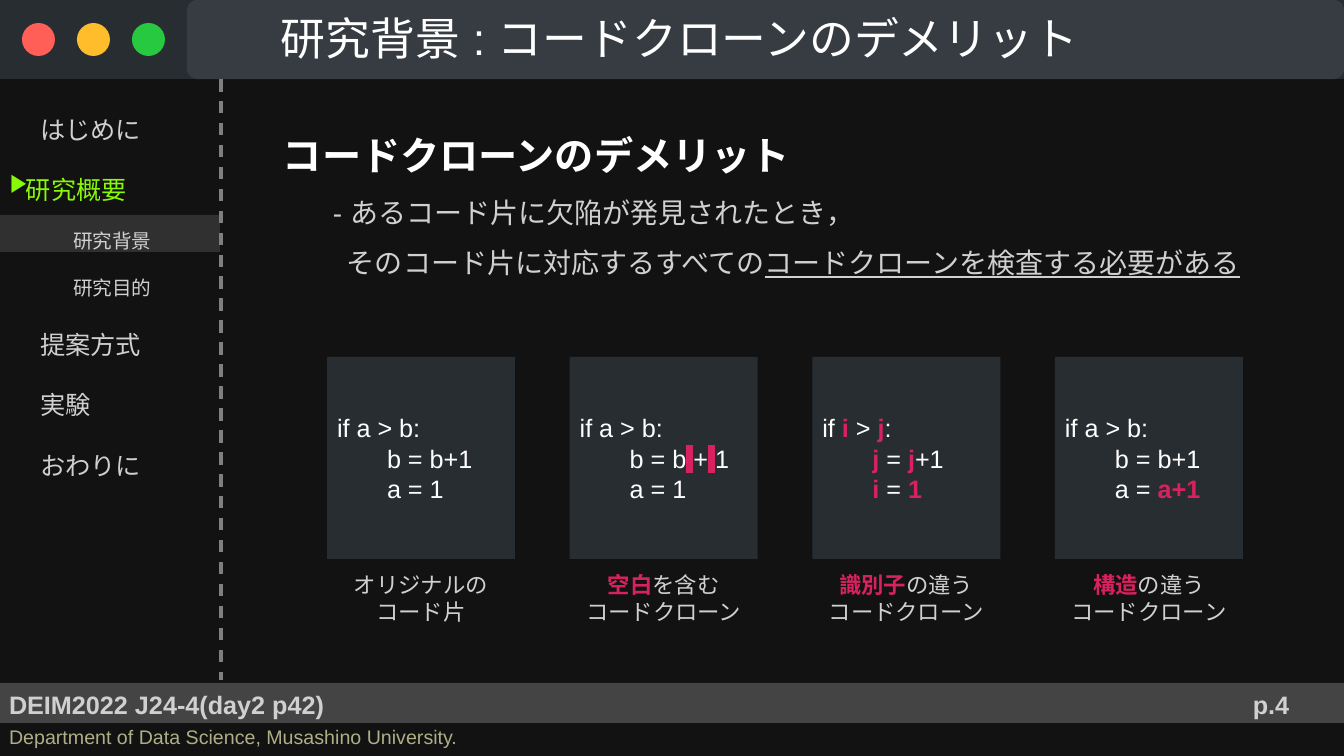
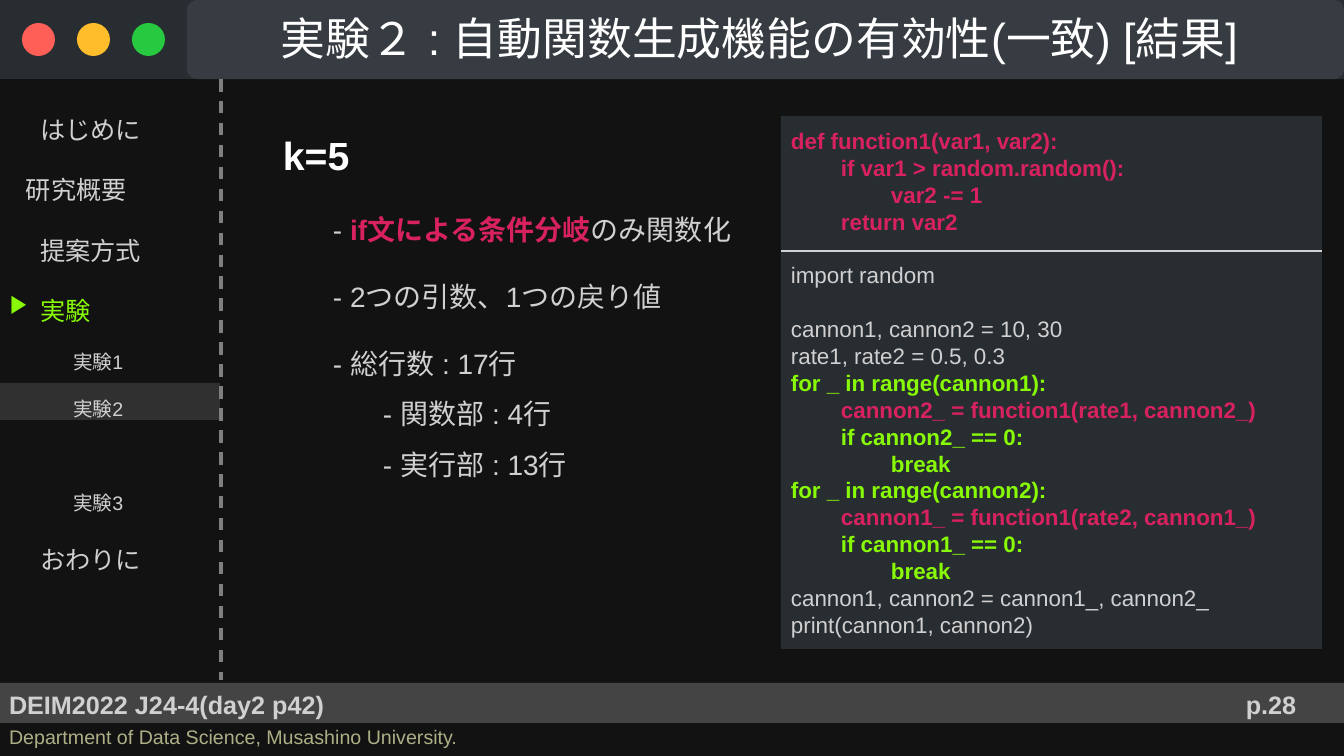
from dataclasses import dataclass

from lxml import etree
from pptx import Presentation
from pptx.dml.color import RGBColor
from pptx.enum.dml import MSO_LINE
from pptx.enum.shapes import MSO_CONNECTOR, MSO_SHAPE
from pptx.enum.text import MSO_ANCHOR, PP_ALIGN
from pptx.oxml.ns import qn
from pptx.util import Pt

RECT, ROUND, OVAL = MSO_SHAPE.RECTANGLE, MSO_SHAPE.ROUNDED_RECTANGLE, MSO_SHAPE.OVAL
STRAIGHT, DASH = MSO_CONNECTOR.STRAIGHT, MSO_LINE.DASH
TOP, MIDDLE = MSO_ANCHOR.TOP, MSO_ANCHOR.MIDDLE
LEFT, CENTER = PP_ALIGN.LEFT, PP_ALIGN.CENTER

BLACK = RGBColor(0x12, 0x12, 0x12)
PANEL = RGBColor(0x28, 0x2D, 0x31)
TAB = RGBColor(0x36, 0x3C, 0x41)
BAND = RGBColor(0x44, 0x44, 0x44)
ACTIVE = RGBColor(0x30, 0x30, 0x30)
DIVIDER = RGBColor(0x80, 0x7F, 0x80)
WHITE = RGBColor(0xFF, 0xFF, 0xFF)
GREY = RGBColor(0xD0, 0xD0, 0xD0)
KHAKI = RGBColor(0xAF, 0xAF, 0x87)
GREEN = RGBColor(0x88, 0xF9, 0x06)
PINK = RGBColor(0xD7, 0x22, 0x5F)
BUTTONS = (RGBColor(0xFF, 0x5F, 0x57), RGBColor(0xFF, 0xBD, 0x2B), RGBColor(0x26, 0xC9, 0x3F))

FONT = "Arial"
WIDTH, HEIGHT = 1344, 756
SCALE = 12192000 / WIDTH  # EMU in one px
PX_PER_POINT = 1.4
LEADING = 1.2
STEP = 50  # one indent level
SIDE_WIDTH, HEAD_HEIGHT = 221, 79
WIDE_INSET = (12, 12, 12, 10)


@dataclass
class Span:
    text: str
    marked: bool = False


@dataclass
class Line:
    spans: tuple
    size: float = 18
    color: RGBColor = GREY
    bold: bool = False
    spacing: float = 1
    indent: int = 0
    align: PP_ALIGN = LEFT
    before: float = 0
    after: float = 0


def px(length):
    return round(length * SCALE)


def pitch(size, spacing=1):
    """Height of one line, in points."""
    return size * LEADING * spacing


# Text
def write(box, lines, anchor=TOP, inset=(10, 5, 10, 5)):
    frame = box.text_frame
    frame.word_wrap = True
    frame.vertical_anchor = anchor
    frame.margin_left, frame.margin_top, frame.margin_right, frame.margin_bottom = map(px, inset)
    for index, line in enumerate(lines):
        para = frame.add_paragraph() if index else frame.paragraphs[0]
        para.alignment = line.align
        para.line_spacing = Pt(pitch(line.size, line.spacing))
        para.space_before, para.space_after = Pt(line.before), Pt(line.after)
        para.font.name, para.font.size = FONT, Pt(line.size)
        para.font.bold = line.bold
        para.font.color.rgb = line.color
        properties = para._p.get_or_add_pPr()
        properties.set("marL", str(px(line.indent)))
        properties.set("indent", "0")
        east_asian = etree.SubElement(properties.find(qn("a:defRPr")), qn("a:ea"))
        east_asian.set("typeface", FONT)
        for span in line.spans:
            add_span(para, span)


def add_span(para, span):
    run = para.add_run()
    if isinstance(span, str):
        run.text = span
        return
    run.text = span.text
    run.font.color.rgb = PINK
    if span.marked:
        highlight = etree.SubElement(run._r.get_or_add_rPr(), qn("a:highlight"))
        etree.SubElement(highlight, qn("a:srgbClr")).set("val", str(PINK))
    else:
        run.font.bold = True


def add_text(page, x, y, width, height, lines, **layout):
    box = page.shapes.add_textbox(px(x), px(y), px(width), px(height))
    write(box, lines, **layout)


# Shapes
def add_block(page, kind, x, y, width, height, color):
    block = page.shapes.add_shape(kind, px(x), px(y), px(width), px(height))
    block.shadow.inherit = False
    block.fill.solid()
    block.fill.fore_color.rgb = color
    block.line.fill.background()
    return block


def add_rule(page, x1, y1, x2, y2, color, points):
    rule = page.shapes.add_connector(STRAIGHT, px(x1), px(y1), px(x2), px(y2))
    rule.line.color.rgb = color
    rule.line.width = Pt(points)
    return rule


def flatten(rule):
    etree.SubElement(rule._element.spPr, qn("a:effectLst"))


# Regions that every slide has
def add_header(page, title):
    add_block(page, RECT, 0, 0, WIDTH, HEAD_HEIGHT, PANEL)
    for index, color in enumerate(BUTTONS):
        add_block(page, OVAL, 22 + 55 * index, 23, 33, 33, color)
    tab = add_block(page, ROUND, 187, 0, WIDTH - 187, HEAD_HEIGHT, TAB)
    tab.adjustments[0] = 0.13
    line = Line((title,), size=32, color=WHITE, indent=STEP)
    add_text(page, SIDE_WIDTH, 6, WIDTH - SIDE_WIDTH, 64, [line], anchor=MIDDLE)


def add_footer(page, number):
    top = 684
    add_block(page, RECT, 0, top - 1, WIDTH, 40, BAND)
    add_text(page, -1, top, 673, 40, [Line(("DEIM2022 J24-4(day2 p42)",), bold=True)])
    add_text(page, -1, top + 36, 673, 34,
             [Line(("Department of Data Science, Musashino University.",), size=14, color=KHAKI)])
    add_text(page, 1198, top, 146, 40, [Line((f"p.{number}",), bold=True, align=CENTER)],
             anchor=MIDDLE)


def add_sidebar(page, chapter, sections, section, gap_after=None):
    """List the chapters, with the sections below the current one."""
    entries = []
    for name in ("はじめに", "研究概要", "提案方式", "実験", "おわりに"):
        entries.append((name, 18, 16 if name == "研究概要" else 30))
        if name == chapter:
            entries += [(item, 14, 63) for item in sections]

    lines, row_top = [], HEAD_HEIGHT + 5
    for name, size, indent in entries:
        row = pitch(size, 2)
        after = row if name == gap_after else 0
        lines.append(Line((name,), size=size, color=GREEN if name == chapter else GREY,
                          spacing=2, indent=indent, after=after))
        if name == chapter:
            marker_top = row_top + 17
        if name == section:
            add_block(page, RECT, 0, row_top + 10, SIDE_WIDTH - 1, 37, ACTIVE)
        row_top += (row + after) * PX_PER_POINT

    add_text(page, 0, HEAD_HEIGHT, SIDE_WIDTH, 602, lines)
    add_text(page, 0, marker_top, 46, 40, [Line(("▶︎",), color=GREEN)])
    rule = add_rule(page, SIDE_WIDTH, HEAD_HEIGHT, SIDE_WIDTH, 680, DIVIDER, 2.25)
    rule.line.dash_style = DASH
    flatten(rule)


def add_page(deck, title, number, **sidebar):
    page = deck.slides.add_slide(deck.slide_layouts[6])
    page.background.fill.solid()
    page.background.fill.fore_color.rgb = BLACK
    add_header(page, title)
    add_sidebar(page, **sidebar)
    add_footer(page, number)
    return page


def add_body(page, heading, points):
    """Write a heading and points of (indent, spacing, spans)."""
    lines = [Line((heading,), size=28, color=WHITE, bold=True, spacing=1.5, indent=STEP)]
    lines += [Line(spans, size=20, spacing=spacing, indent=indent)
              for indent, spacing, spans in points]
    add_text(page, SIDE_WIDTH, 96, WIDTH - SIDE_WIDTH, 238, lines, inset=WIDE_INSET)


# Code clone slide
def add_code_card(page, x, y, width, code, caption):
    height = 202
    card = add_block(page, RECT, x, y, width, height, PANEL)
    write(card, [Line(spans, color=WHITE, indent=STEP if index else 0)
                 for index, spans in enumerate(code)], anchor=MIDDLE)
    add_text(page, x, y + height, width, 65,
             [Line(spans, size=16, align=CENTER) for spans in caption], inset=WIDE_INSET)


def build_clone_page(deck):
    page = add_page(deck, "研究背景 : コードクローンのデメリット", 4, chapter="研究概要",
                    sections=("研究背景", "研究目的"), section="研究背景")
    add_body(page, "コードクローンのデメリット", [
        (2 * STEP, 1.5, ("- あるコード片に欠陥が発見されたとき，",)),
        (2 * STEP + 14, 1.5, ("そのコード片に対応するすべての", "コードクローンを検査する必要がある")),
    ])
    body = page.shapes[-1].text_frame
    body.paragraphs[2].runs[1].font.underline = True

    condition, assign_b, assign_a = ("if a > b:",), ("b = b+1",), ("a = 1",)
    blank, clone = Span(" ", marked=True), ("コードクローン",)
    cards = [
        ((condition, assign_b, assign_a), (("オリジナルの",), ("コード片",))),
        ((condition, ("b = b", blank, "+", blank, "1"), assign_a),
         ((Span("空白"), "を含む"), clone)),
        ((("if ", Span("i "), "> ", Span("j"), ":"),
          (Span("j"), " = ", Span("j"), "+1"),
          (Span("i"), " = ", Span("1"))),
         ((Span("識別子"), "の違う"), clone)),
        ((condition, assign_b, ("a = ", Span("a+1"))),
         ((Span("構造"), "の違う"), clone)),
    ]
    left, right, width = 327, 1243, 188
    stride = (right - left - width) / (len(cards) - 1)
    for index, (code, caption) in enumerate(cards):
        add_code_card(page, left + index * stride, 357, width, code, caption)


# Experiment slide
def add_listing(page, x, y, width, height, code):
    """Show code given as (level, colour, text); an empty text leaves a gap."""
    size, lines, gap = 16, [], 0
    for level, color, text in code:
        if not text:
            gap = pitch(size)
            continue
        lines.append(Line((text,), size=size, color=color, bold=color != GREY,
                          indent=level * STEP, before=gap))
        gap = 0
    panel = add_block(page, RECT, x, y, width, height, PANEL)
    write(panel, lines, anchor=MIDDLE)
    flatten(add_rule(page, x, y + 135, x + width, y + 135, GREY, 1.5))


def build_result_page(deck):
    page = add_page(deck, "実験２ : 自動関数生成機能の有効性(一致) [結果]", 28, chapter="実験",
                    sections=("実験1", "実験2", "実験3"), section="実験2", gap_after="実験2")
    add_body(page, "k=5", [
        (2 * STEP, 2, ("- ", Span("if文による条件分岐"), "のみ関数化")),
        (2 * STEP, 2, ("- 2つの引数、1つの戻り値",)),
        (2 * STEP, 2, ("- 総行数 : 17行",)),
        (3 * STEP, 1.5, ("- 関数部 : 4行",)),
        (3 * STEP, 1.5, ("- 実行部 : 13行",)),
    ])
    code = [
        (0, PINK, "def function1(var1, var2):"),
        (1, PINK, "if var1 > random.random():"),
        (2, PINK, "var2 -= 1"),
        (1, PINK, "return var2"),
        (0, GREY, ""),
        (0, GREY, "import random"),
        (0, GREY, ""),
        (0, GREY, "cannon1, cannon2 = 10, 30"),
        (0, GREY, "rate1, rate2 = 0.5, 0.3"),
    ]
    for own, other in ((1, 2), (2, 1)):
        code += [
            (0, GREEN, f"for _ in range(cannon{own}):"),
            (1, PINK, f"cannon{other}_ = function1(rate{own}, cannon{other}_)"),
            (1, GREEN, f"if cannon{other}_ == 0:"),
            (2, GREEN, "break"),
        ]
    code += [
        (0, GREY, "cannon1, cannon2 = cannon1_, cannon2_"),
        (0, GREY, "print(cannon1, cannon2)"),
    ]
    add_listing(page, 781, 116, 541, 533, code)


def main():
    deck = Presentation()
    deck.slide_width, deck.slide_height = px(WIDTH), px(HEIGHT)
    build_clone_page(deck)
    build_result_page(deck)
    deck.save("out.pptx")


if __name__ == "__main__":
    main()
